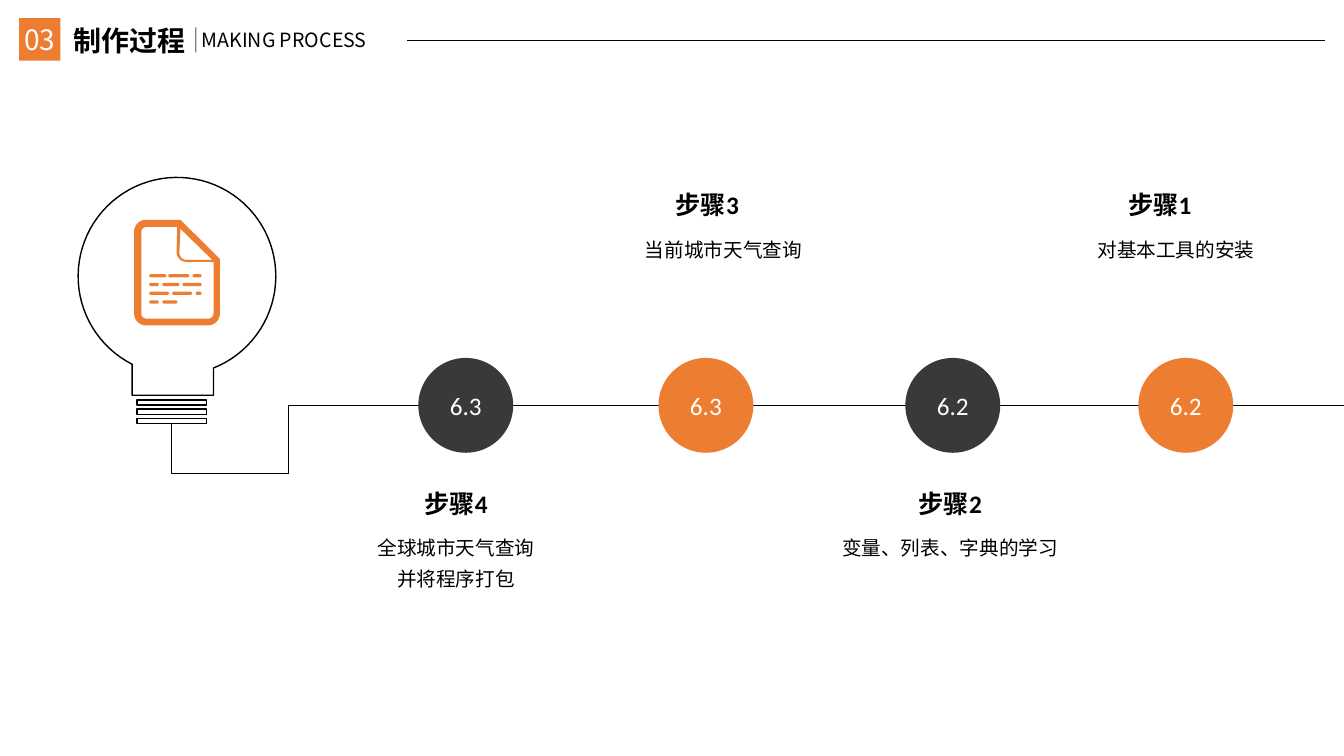
from math import cos, radians, sin

from lxml import etree
from pptx import Presentation
from pptx.dml.color import RGBColor
from pptx.enum.shapes import MSO_CONNECTOR, MSO_SHAPE
from pptx.enum.text import MSO_ANCHOR, MSO_AUTO_SIZE, PP_ALIGN
from pptx.oxml.ns import qn
from pptx.util import Cm, Pt

STRAIGHT, ELBOW = MSO_CONNECTOR.STRAIGHT, MSO_CONNECTOR.ELBOW
RECT, OVAL, PILL = MSO_SHAPE.RECTANGLE, MSO_SHAPE.OVAL, MSO_SHAPE.ROUNDED_RECTANGLE
LEFT, CENTER = PP_ALIGN.LEFT, PP_ALIGN.CENTER
MIDDLE, NO_FIT = MSO_ANCHOR.MIDDLE, MSO_AUTO_SIZE.NONE
COLORS = {"orange": "ED7D31", "dark": "3B3838", "black": "000000", "white": "FFFFFF"}
COLORS = {name: RGBColor.from_string(code) for name, code in COLORS.items()}
SANS, LATIN = "Noto Sans CJK SC", "Calibri"


def set_text(frame, lines, size, font=SANS, color="black", bold=False, align=CENTER, spacing=1.0):
    """Fill a text frame with one evenly formatted paragraph per line."""
    frame.text = "\n".join(lines)
    for para in frame.paragraphs:
        para.alignment = align
        para.line_spacing = spacing
        para.font.size = Pt(size)
        para.font.bold = bold
        para.font.name = font
        para.font.color.rgb = COLORS[color]
        east_asian = etree.SubElement(para._p.pPr.find(qn("a:defRPr")), qn("a:ea"))
        east_asian.set("typeface", SANS)


def arc(x, y, radius, start, end):
    """Return points on a clockwise arc, with angles in degrees from the right."""
    count = max(8, round((end - start) / 4))
    angles = [radians(start + (end - start) * i / count) for i in range(count + 1)]
    return [(x + radius * cos(a), y + radius * sin(a)) for a in angles]


deck = Presentation()
deck.slide_width, deck.slide_height = Cm(33.86), Cm(19.05)
page = deck.slides.add_slide(deck.slide_layouts[5])

# Header text
title = page.shapes.title
title.left, title.top, title.width, title.height = Cm(1.6), Cm(0.46), Cm(3.51), Cm(1.12)
title.text_frame.auto_size = NO_FIT
title.text_frame.vertical_anchor = MIDDLE
set_text(title.text_frame, ["制作过程"], 20, bold=True, align=LEFT)
subtitle = page.shapes.add_textbox(Cm(4.83), Cm(0.58), Cm(4.95), Cm(0.86))
subtitle.text_frame.word_wrap = False
set_text(subtitle.text_frame, ["MAKING PROCESS"], 14, align=LEFT)

# Header rules and the wire that runs from the bulb through the steps
connectors = []
for kind, x1, y1, x2, y2, weight in (
    (STRAIGHT, 10.26, 1.02, 33.38, 1.02, 0.5),
    (STRAIGHT, 4.93, 0.69, 4.93, 1.32, 1),
    (ELBOW, 6.43, 9.83, 5.18, 12.78, 0.5),
    (ELBOW, 7.28, 11.93, 33.86, 10.22, 0.5),
):
    line = page.shapes.add_connector(kind, Cm(x1), Cm(y1), Cm(x2), Cm(y2))
    line.line.color.rgb = COLORS["black"]
    line.line.width = Pt(weight)
    etree.SubElement(line._element.spPr, qn("a:effectLst"))
    connectors.append(line._element.spPr)
header_rule, divider, wire_drop, wire_run = connectors

alpha = etree.SubElement(next(divider.iter(qn("a:srgbClr"))), qn("a:alpha"))
alpha.set("val", "49000")
wire_drop.find(qn("a:xfrm")).set("rot", "16200000")
wire_drop.find(qn("a:prstGeom")).set("prst", "bentConnector2")
bend = etree.SubElement(next(wire_run.iter(qn("a:avLst"))), qn("a:gd"))
bend.set("name", "adj1")
bend.set("fmla", "val -100")

# Bulb, document and folded corner
bulb = arc(4.46, 6.96, 2.49, 117, 428.3) + [(5.38, 9.96), (3.33, 9.96)]
document = []
for left, top, right, bottom, radius, cut_x, cut_y in (
    (3.38, 5.54, 5.54, 8.2, 0.3, 4.55, 6.53),
    (3.56, 5.72, 5.38, 8.03, 0.13, 4.5, 6.58),
):
    document.append(
        [(cut_x, top), (right, cut_y)]
        + arc(right - radius, bottom - radius, radius, 0, 90)
        + arc(left + radius, bottom - radius, radius, 90, 180)
        + arc(left + radius, top + radius, radius, 180, 270)
    )
fold = [
    [(4.47, 5.54), (5.54, 6.6)] + arc(4.7, 6.35, 0.25, 90, 180),
    [(4.55, 5.69), (5.36, 6.55)] + arc(4.7, 6.37, 0.18, 90, 180),
]
for contours, fill, outlined in (
    ([bulb], "white", True),
    (document, "orange", False),
    (fold, "orange", False),
):
    contours = [[(Cm(x), Cm(y)) for x, y in contour] for contour in contours]
    builder = page.shapes.build_freeform(*contours[0][0])
    for contour in contours:
        builder.move_to(*contour[0])
        builder.add_line_segments(contour[1:], close=True)
    shape = builder.convert_to_shape()
    shape.shadow.inherit = False
    shape.fill.solid()
    shape.fill.fore_color.rgb = COLORS[fill]
    if outlined:
        shape.line.color.rgb = COLORS["black"]
        shape.line.width = Pt(1)
    else:
        shape.line.fill.background()

# Preset shapes: kind, left, top, width, height, fill, text, font, text size
STEPS = (
    ("1", "6.2", "orange", 28.68, 26.06, 26.06, 4.65, ["对基本工具的安装"]),
    ("2", "6.2", "dark", 22.81, 20.78, 20.37, 12.17, ["变量、列表、字典的学习"]),
    ("3", "6.3", "orange", 16.59, 14.66, 14.66, 4.65, ["当前城市天气查询"]),
    ("4", "6.3", "dark", 10.54, 8.33, 7.92, 12.17, ["全球城市天气查询", "并将程序打包"]),
)
DASH_ROWS = (
    ((3.76, 0.43), (4.24, 0.53), (4.85, 0.23)),
    ((3.76, 0.24), (4.09, 0.43), (4.6, 0.48)),
    ((3.76, 0.5), (4.34, 0.5), (4.93, 0.15)),
    ((3.76, 0.24), (4.09, 0.38)),
)
presets = [(RECT, 0.48, 0.46, 1.04, 1.07, "orange", "03", SANS, 20)]
for ring in range(3):
    presets.append((RECT, 3.45, 10.08 + 0.23 * ring, 1.75, 0.13, "white", "", SANS, 0))
for row, dashes in enumerate(DASH_ROWS):
    for left, width in dashes:
        presets.append((PILL, left, 6.91 + 0.22 * row, width, 0.08, "orange", "", SANS, 0))
for _, date, color, circle_left, *_ in STEPS:
    presets.append((OVAL, circle_left, 9.02, 2.39, 2.39, color, date, LATIN, 18))

for kind, left, top, width, height, fill, text, font, size in presets:
    shape = page.shapes.add_shape(kind, Cm(left), Cm(top), Cm(width), Cm(height))
    shape.shadow.inherit = False
    shape.fill.solid()
    shape.fill.fore_color.rgb = COLORS[fill]
    if fill == "white":
        shape.line.color.rgb = COLORS["black"]
        shape.line.width = Pt(1)
    else:
        shape.line.fill.background()
    if kind == PILL:
        shape.adjustments[0] = 0.5
    if text:
        frame = shape.text_frame
        frame.margin_left = frame.margin_right = 0
        frame.word_wrap = False
        frame.vertical_anchor = MIDDLE
        set_text(frame, [text], size, font, "white")

# Step headings and descriptions
for number, _, _, _, heading_left, detail_left, top, details in STEPS:
    heading = page.shapes.add_textbox(Cm(heading_left), Cm(top), Cm(6.32), Cm(1.02))
    heading.text_frame.word_wrap = True
    set_text(heading.text_frame, ["步骤" + number], 18, LATIN, bold=True)
    detail_height = 0.28 + 0.76 * len(details)
    detail = page.shapes.add_textbox(Cm(detail_left), Cm(top + 1.04), Cm(7.14), Cm(detail_height))
    detail.text_frame.word_wrap = True
    set_text(detail.text_frame, details, 14, spacing=1.3)

deck.save("out.pptx")
